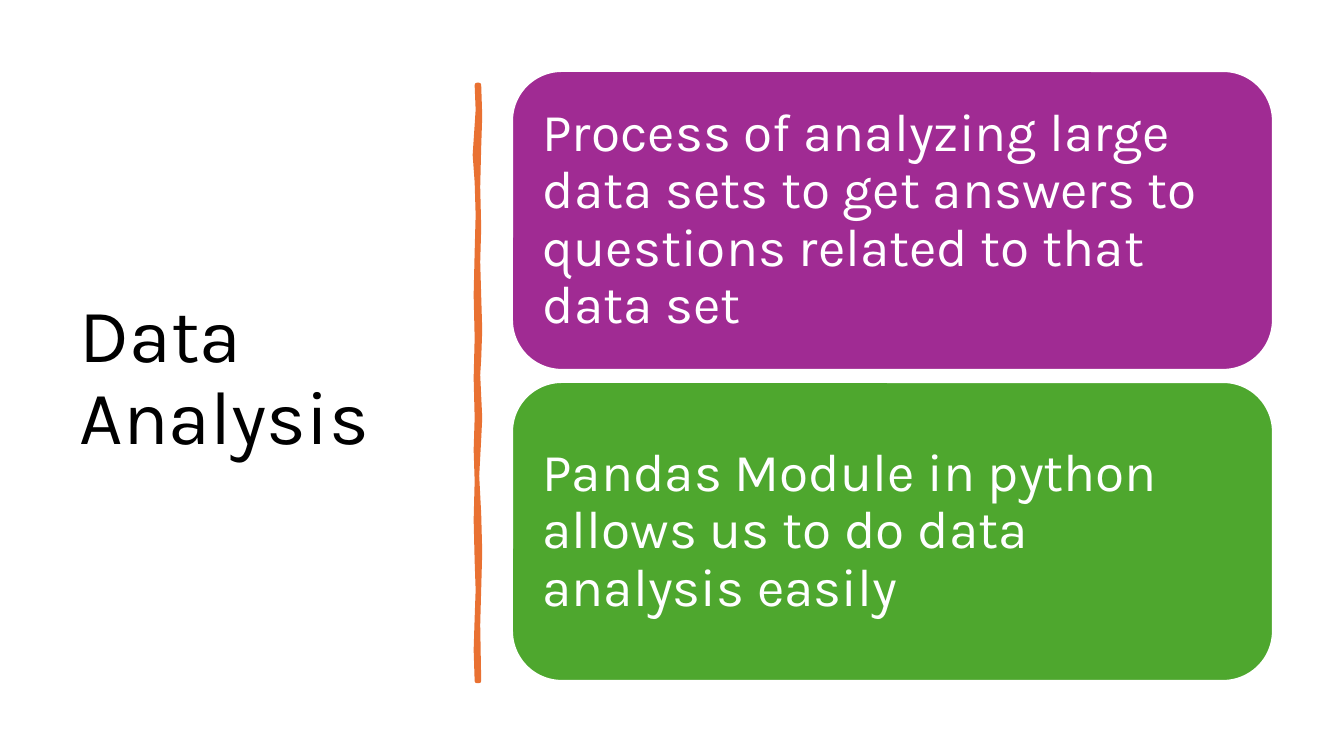
import dataclasses

import pptx
import pptx.dml.color
import pptx.enum.shapes
import pptx.enum.text
import pptx.oxml
import pptx.util

SCALE = 914400 / 100.8  # EMU per px
FONT = "Karla"
ORANGE = "E97132"
WHITE = "FFFFFF"

# Hand-drawn rule: right edge downwards, left edge upwards
RIGHT = [(479, 85), (480, 116), (479, 147), (478, 187), (479, 228),
         (478, 262), (479, 296), (480, 330), (479, 359), (478, 375),
         (480, 418), (479, 439), (477, 476), (479, 514), (480, 552),
         (479, 589), (478, 625), (479, 681)]
LEFT = [(477, 681), (476, 650), (477, 618), (478, 590), (477, 561),
        (476, 520), (477, 481), (476, 450), (477, 418), (476, 378),
        (477, 338), (476, 295), (477, 252), (478, 215), (477, 182),
        (475, 155), (478, 110), (477, 85)]


@dataclasses.dataclass
class Card:
    text: str
    fill: str


CARDS = [
    Card("Process of analyzing large data sets to get answers to "
         "questions related to that data set", "A02B93"),
    Card("Pandas Module in python allows us to do data analysis easily",
         "4EA72E"),
]
CARD_TOP, CARD_STEP = 71, 311


def px(n: int) -> pptx.util.Emu:
    return pptx.util.Emu(round(n * SCALE))


def rgb(code: str) -> pptx.dml.color.RGBColor:
    return pptx.dml.color.RGBColor.from_string(code)


def paint(shape, fill: str, line: str, width: float) -> None:
    shape.shadow.inherit = False
    shape.fill.solid()
    shape.fill.fore_color.rgb = rgb(fill)
    shape.line.color.rgb = rgb(line)
    shape.line.width = pptx.util.Pt(width)


def write(shape, text: str, *, size: int, color: str,
          side: int, edge: int) -> None:
    """Fill a shape with left-aligned, vertically centred text."""
    frame = shape.text_frame
    frame.word_wrap = True
    frame.vertical_anchor = pptx.enum.text.MSO_ANCHOR.MIDDLE
    frame.margin_left = frame.margin_right = px(side)
    frame.margin_top = frame.margin_bottom = px(edge)
    para = frame.paragraphs[0]
    para.alignment = pptx.enum.text.PP_ALIGN.LEFT
    para.line_spacing = 0.9
    run = para.add_run()
    run.text = text
    run.font.name = FONT
    run.font.size = pptx.util.Pt(size)
    run.font.color.rgb = rgb(color)


def draw_rule(slide) -> None:
    start, *rest = RIGHT + LEFT
    pen = slide.shapes.build_freeform(*start, scale=SCALE)
    pen.add_line_segments(rest, close=True)
    rule = pen.convert_to_shape()
    paint(rule, ORANGE, ORANGE, 3.25)
    line = rule.line._get_or_add_ln()
    line.append(pptx.oxml.parse_xml(
        '<a:round xmlns:a="http://schemas.openxmlformats.org/'
        'drawingml/2006/main"/>'))


def draw_card(slide, card: Card, top: int) -> None:
    kind = pptx.enum.shapes.MSO_SHAPE.ROUNDED_RECTANGLE
    shape = slide.shapes.add_shape(kind, px(512), px(top), px(761), px(299))
    paint(shape, card.fill, WHITE, 1.5)
    write(shape, card.text, size=38, color=WHITE, side=16, edge=16)


def main() -> None:
    deck = pptx.Presentation()
    deck.slide_width, deck.slide_height = px(1344), px(756)
    slide = deck.slides.add_slide(deck.slide_layouts[6])
    title = slide.shapes.add_textbox(px(70), px(71), px(377), px(616))
    write(title, "Data Analysis", size=54, color="000000", side=10, edge=5)
    draw_rule(slide)
    for i, card in enumerate(CARDS):
        draw_card(slide, card, CARD_TOP + i * CARD_STEP)
    deck.save("out.pptx")


if __name__ == "__main__":
    main()
